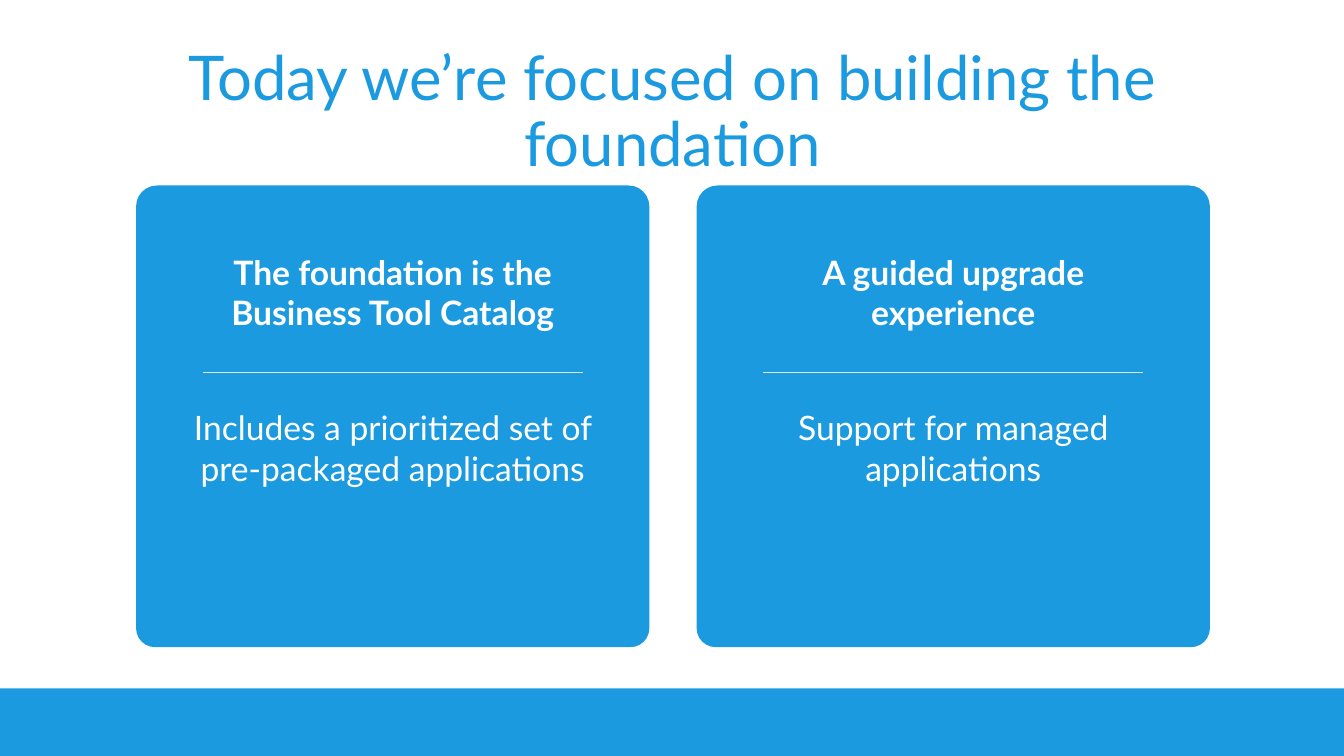
"""Builds a slide with a title, two cards and a footer band."""
import pptx
import pptx.dml.color
import pptx.enum.shapes
import pptx.enum.text
import pptx.oxml
import pptx.util

Inches = pptx.util.Inches
Pt = pptx.util.Pt
RGB = pptx.dml.color.RGBColor.from_string
Kind = pptx.enum.shapes.MSO_SHAPE
Align = pptx.enum.text.PP_ALIGN
Anchor = pptx.enum.text.MSO_ANCHOR

THEME = {
    "blue": RGB("1B9AE0"),
    "white": RGB("FFFFFF"),
    "rule": RGB("DFE3E5"),
    "font": "Lato",
    "title": Pt(44),
    "body": Pt(24),
    "thin": Pt(0.5),
}
WIDE, HIGH = 13.33, 7.5
CARD = {"left": 1.35, "top": 1.84, "wide": 5.09, "high": 4.58, "step": 5.56}
RULE = {"top": 3.69, "wide": 3.77}
TEXT = {"head": 2.5, "body": 4.04, "high": 0.81}
CARDS = [
    ("The foundation is the Business Tool Catalog", 3.77,
     "Includes a prioritized set of pre-packaged applications", 4.16, 8),
    ("A guided upgrade experience", 4.04,
     "Support for managed applications", 4.04, 14),
]


def apply(item, form):
    for name, value in form.items():
        setattr(item, name, value)


def block(slide, kind, box, curves=()):
    shape = slide.shapes.add_shape(kind, *map(Inches, box))
    shape.shadow.inherit = False
    shape.fill.solid()
    shape.fill.fore_color.rgb = THEME["blue"]
    shape.line.fill.background()
    for index, curve in enumerate(curves):
        shape.adjustments[index] = curve
    return shape


def write(slide, words, box, size, color, frame, para, bold=False):
    text = slide.shapes.add_textbox(*map(Inches, box)).text_frame
    apply(text, {"word_wrap": True, **frame})
    line = text.paragraphs[0]
    line.text = words
    apply(line, {"alignment": Align.CENTER, **para})
    font = line.runs[0].font
    apply(font, {"name": THEME["font"], "size": THEME[size], "bold": bold})
    font.color.rgb = THEME[color]


def rule(slide, left, top, wide):
    line = slide.shapes.add_connector(
        pptx.enum.shapes.MSO_CONNECTOR.STRAIGHT,
        *map(Inches, (left, top, left + wide, top)))
    line.line.color.rgb = THEME["rule"]
    line.line.width = THEME["thin"]
    props = line._element.spPr
    props.append(pptx.oxml.parse_xml(
        '<a:effectLst xmlns:a='
        '"http://schemas.openxmlformats.org/drawingml/2006/main"/>'))


def card(slide, left, head, span, body, width, after):
    block(slide, Kind.ROUND_2_SAME_RECTANGLE,
          (left, CARD["top"], CARD["wide"], CARD["high"]), (0.045, 0.041))
    mid = left + CARD["wide"] / 2
    sides = ("left", "right", "top", "bottom")
    frame = {f"margin_{side}": 0 for side in sides}
    rows = [("head", head, span, 14, True), ("body", body, width, after, False)]
    for row, words, wide, gap, bold in rows:
        box = (mid - wide / 2, TEXT[row], wide, TEXT["high"])
        write(slide, words, box, "body", "white", frame,
              {"space_after": Pt(gap)}, bold)
    rule(slide, mid - RULE["wide"] / 2, RULE["top"], RULE["wide"])


def main():
    deck = pptx.Presentation()
    apply(deck, {"slide_width": Inches(WIDE), "slide_height": Inches(HIGH)})
    slide = deck.slides.add_slide(deck.slide_layouts[6])
    block(slide, Kind.RECTANGLE, (0, 6.83, WIDE, 0.67))
    write(slide, "Today we’re focused on building the foundation",
          (0.92, 0.4, 11.5, 1.45), "title", "blue",
          {"vertical_anchor": Anchor.MIDDLE}, {"line_spacing": 0.9})
    for index, parts in enumerate(CARDS):
        card(slide, CARD["left"] + index * CARD["step"], *parts)
    deck.save("out.pptx")


if __name__ == "__main__":
    main()
